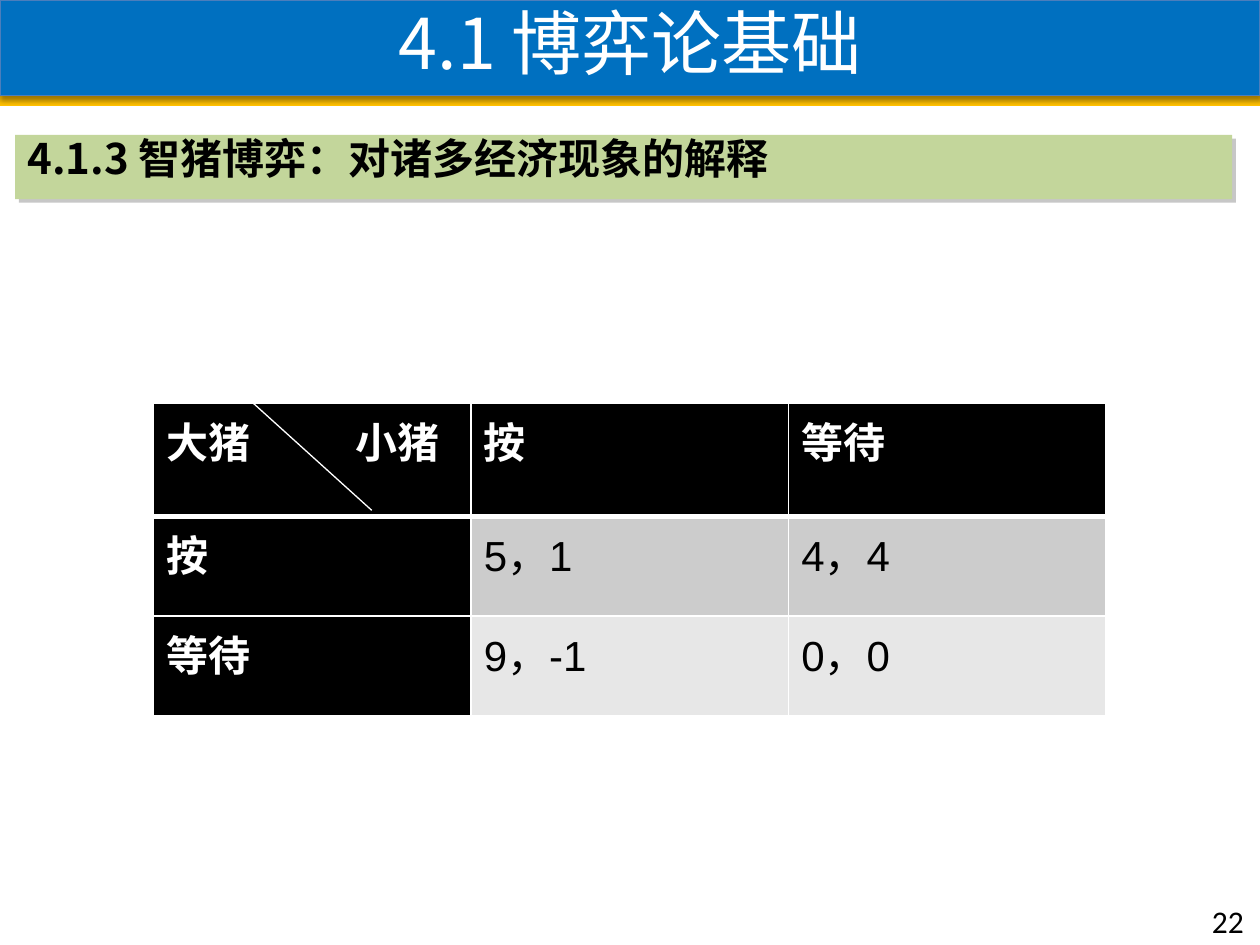
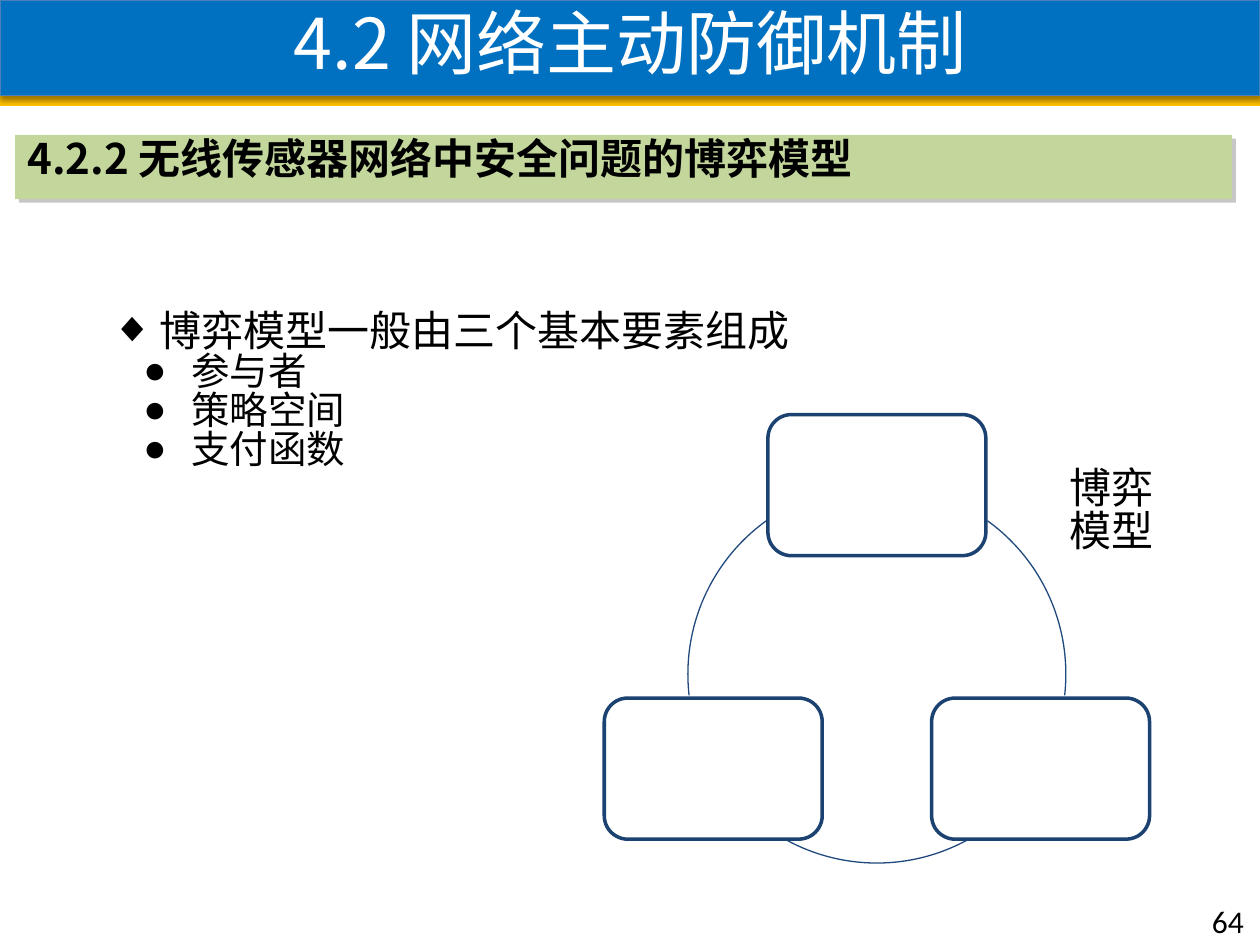
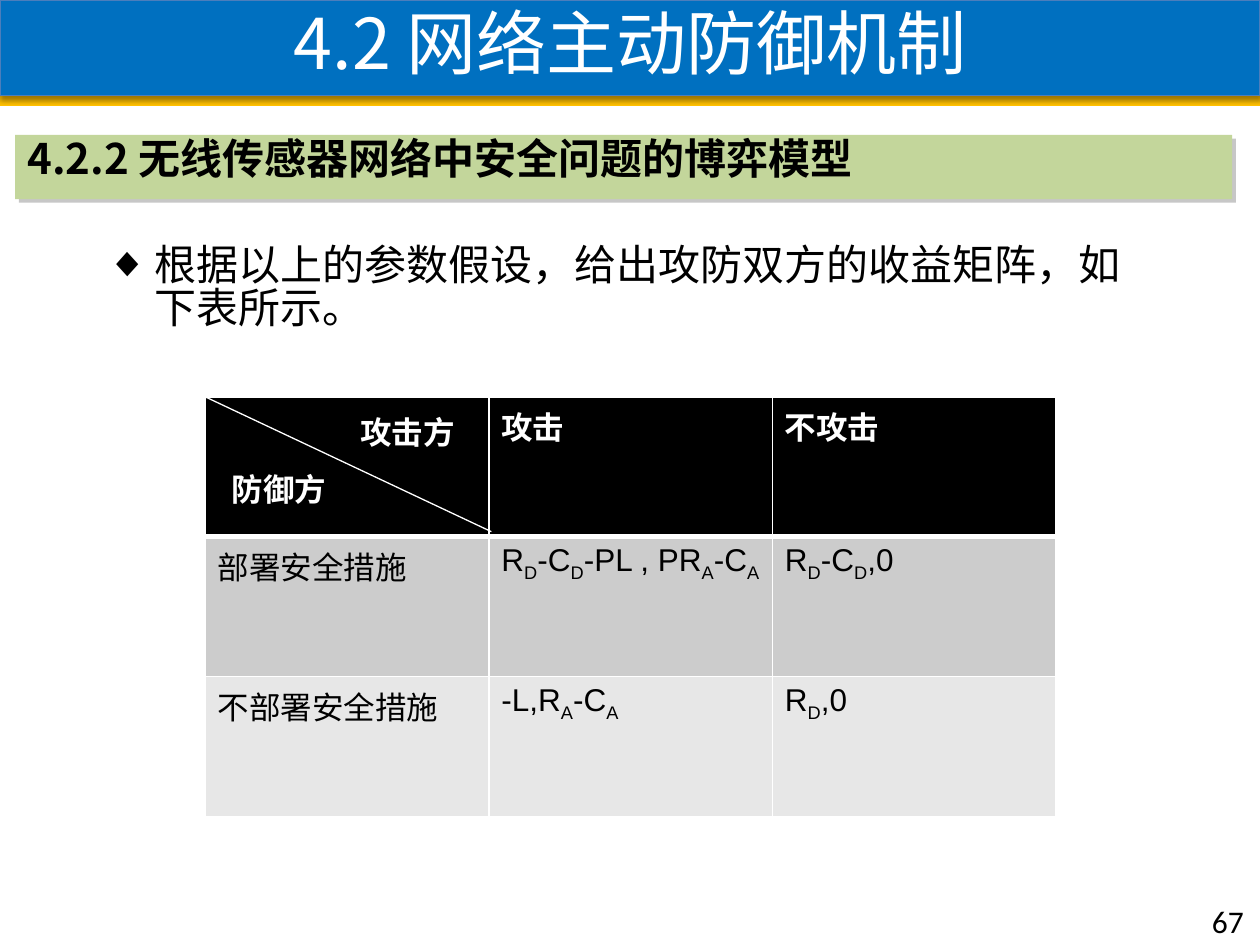
import math

import lxml.etree
import pptx
import pptx.dml.color
import pptx.enum.shapes
import pptx.enum.text
import pptx.oxml.ns
import pptx.util

SHAPES = pptx.enum.shapes.MSO_SHAPE
ALIGN = pptx.enum.text.PP_ALIGN
ANCHOR = pptx.enum.text.MSO_ANCHOR

COLORS = {
    "white": "FFFFFF", "black": "000000", "title": "0070C0", "title_line": "4B7EBC",
    "band": "FFC000", "section": "C3D69B", "section_shadow": "808080",
    "dark_row": "CCCCCC", "light_row": "E7E7E7", "node": "1C4271", "arc": "1F497D",
}
CHINESE = "Noto Sans CJK SC"
TIGHT = 0.84  # brings the tall Chinese line height down to about 1.2


def color(name):
    return pptx.dml.color.RGBColor.from_string(COLORS[name])


def add_element(parent, tag, **attributes):
    element = lxml.etree.SubElement(parent, pptx.oxml.ns.qn(tag))
    for name, value in attributes.items():
        element.set(name, str(value))
    return element


class Deck:
    """Places elements on the current slide in grid cells of a tenth of an inch."""

    COLUMNS, ROWS = 100, 75
    CELL = pptx.util.Inches(0.1)

    def __init__(self):
        self.presentation = pptx.Presentation()
        self.presentation.slide_width = self.COLUMNS * self.CELL
        self.presentation.slide_height = self.ROWS * self.CELL
        self.layout = self.presentation.slide_layouts[5]
        self.slide = None

    def grid(self, *lengths):
        return [round(length * self.CELL) for length in lengths]

    def new_slide(self, title, section, number):
        first = self.slide is None
        self.slide = self.presentation.slides.add_slide(self.layout)
        if first:
            band = self.shape(SHAPES.RECTANGLE, (0, 7.6, self.COLUMNS, 0.8), "band")
            self.layout.shapes._spTree.append(band._element)
        self.title(title)
        self.section(section)
        self.text((95.2, 71.1, 4.7, 4), [number], size=18, name="Calibri", spacing=1)

    def title(self, text):
        shape = self.slide.shapes.title
        shape.left, shape.top, shape.width, shape.height = self.grid(0, 0, self.COLUMNS, 7.6)
        self.paint(shape, "title", "title_line", 0.75)
        self.shadow(shape, "black", 38, 3.1, 1.6, 90)
        shape.text_frame.vertical_anchor = ANCHOR.MIDDLE
        self.fill_paragraph(shape.text_frame.paragraphs[0], text, "white", size=40,
                            align=ALIGN.CENTER)

    def section(self, text):
        shape = self.shape(SHAPES.RECTANGLE, (1.2, 10.7, 96.6, 5.1), "section")
        self.shadow(shape, "section_shadow", 43, 0, 3, 45)
        shape.text_frame.vertical_anchor = ANCHOR.TOP
        self.fill_paragraph(shape.text_frame.paragraphs[0], text, bold=True)

    def paint(self, shape, fill=None, line=None, width=1):
        if fill:
            shape.fill.solid()
            shape.fill.fore_color.rgb = color(fill)
        else:
            shape.fill.background()
        if line:
            shape.line.color.rgb = color(line)
            shape.line.width = pptx.util.Pt(width)
        else:
            shape.line.fill.background()
        shape.shadow.inherit = False

    def shape(self, kind, box, fill=None, line=None, width=1):
        shape = self.slide.shapes.add_shape(kind, *self.grid(*box))
        self.paint(shape, fill, line, width)
        return shape

    def shadow(self, shape, name, opacity, blur, distance, angle):
        effects = shape._element.spPr.find(pptx.oxml.ns.qn("a:effectLst"))
        outer = add_element(effects, "a:outerShdw", blurRad=pptx.util.Pt(blur),
                            dist=pptx.util.Pt(distance), dir=angle * 60000, rotWithShape=0)
        tint = add_element(outer, "a:srgbClr", val=COLORS[name])
        add_element(tint, "a:alpha", val=opacity * 1000)

    def fill_paragraph(self, paragraph, text, ink="black", size=24, name=CHINESE, bold=False,
                       align=ALIGN.LEFT, spacing=TIGHT):
        """Add styled runs; an underscore makes the next character a subscript."""
        layout = {"alignment": align, "line_spacing": spacing, "space_before": pptx.util.Pt(0)}
        for key, value in layout.items():
            setattr(paragraph, key, value)
        first, *marked = text.split("_")
        pieces = [(first, False)]
        for part in marked:
            pieces += [(part[0], True), (part[1:], False)]
        formats = {"size": pptx.util.Pt(size), "name": name, "bold": bold}
        for piece, lowered in pieces:
            if not piece:
                continue
            run = paragraph.add_run()
            run.text = piece
            for key, value in formats.items():
                setattr(run.font, key, value)
            run.font.color.rgb = color(ink)
            if lowered:
                run._r.get_or_add_rPr().set("baseline", "-25000")

    def text_frame(self, box):
        frame = self.slide.shapes.add_textbox(*self.grid(*box)).text_frame
        frame.word_wrap = True
        return frame

    def text(self, box, lines, **style):
        frame = self.text_frame(box)
        for index, line in enumerate(lines):
            paragraph = frame.add_paragraph() if index else frame.paragraphs[0]
            self.fill_paragraph(paragraph, line, **style)

    def bullets(self, box, items):
        """Add (level, text) items: diamonds on level 0, discs on level 1."""
        levels = [("◆", 3.8, {}), ("●", 6.3, {"size": 22, "name": "Arial"})]
        frame = self.text_frame(box)
        for index, (level, text) in enumerate(items):
            mark, margin, style = levels[level]
            paragraph = frame.add_paragraph() if index else frame.paragraphs[0]
            properties = paragraph._p.get_or_add_pPr()
            left, hanging = self.grid(margin, -3.8)
            properties.set("marL", str(left))
            properties.set("indent", str(hanging))
            add_element(properties, "a:buFont", typeface="Arial")
            add_element(properties, "a:buChar", char=mark)
            self.fill_paragraph(paragraph, text, **style)

    def line(self, start, end):
        connector = self.slide.shapes.add_connector(
            pptx.enum.shapes.MSO_CONNECTOR.STRAIGHT, *self.grid(*start, *end))
        connector.line.color.rgb = color("white")
        connector.line.width = pptx.util.Pt(0.75)
        add_element(connector._element.spPr, "a:effectLst")

    def borders(self, cell, row):
        widths = {"L": 1, "R": 1, "T": 3 if row == 1 else 1, "B": 3 if row == 0 else 1}
        properties = cell._tc.get_or_add_tcPr()
        for side, width in widths.items():
            edge = add_element(properties, f"a:ln{side}", w=pptx.util.Pt(width))
            add_element(add_element(edge, "a:solidFill"), "a:srgbClr", val=COLORS["white"])

    def payoff_table(self, box, rows, heights, size, dark_first_column=False, tab=None):
        shape = self.slide.shapes.add_table(len(rows), len(rows[0]), *self.grid(*box))
        table = shape.table
        for row, height in zip(table.rows, self.grid(*heights)):
            row.height = height
        for row, texts in enumerate(rows):
            for column, text in enumerate(texts):
                cell = table.cell(row, column)
                heading = row == 0 or (dark_first_column and column == 0)
                fill = "black" if heading else "dark_row" if row % 2 else "light_row"
                self.borders(cell, row)
                cell.fill.solid()
                cell.fill.fore_color.rgb = color(fill)
                paragraph = cell.text_frame.paragraphs[0]
                if "\t" in text:
                    tabs = add_element(paragraph._p.get_or_add_pPr(), "a:tabLst")
                    add_element(tabs, "a:tab", pos=self.grid(tab)[0], algn="l")
                self.fill_paragraph(paragraph, text, "white" if heading else "black", size=size,
                                    name="Arial", bold=heading, spacing=1)

    def cycle(self, center, radius, node_size):
        """Three boxes evenly spaced on a circle, with arcs showing between them."""
        (center_x, center_y), (width, height) = center, node_size
        circle = (center_x - radius, center_y - radius, 2 * radius, 2 * radius)
        for angle in (-90, 30, 150):
            x = center_x + radius * math.cos(math.radians(angle))
            y = center_y + radius * math.sin(math.radians(angle))
            self.shape(SHAPES.ROUNDED_RECTANGLE, (x - width / 2, y - height / 2, width, height),
                       "white", "node", 2)
        for start, end in ((305.8, 6.5), (61.4, 118.6), (173.5, 234.2)):
            arc = self.shape(SHAPES.ARC, circle, None, "arc", 0.75)
            for index, angle in enumerate((start, end)):
                arc.adjustments[index] = angle * 0.6


def main():
    deck = Deck()
    defence = "4.2 网络主动防御机制"
    model = "4.2.2 无线传感器网络中安全问题的博弈模型"

    deck.new_slide("4.1 博弈论基础", "4.1.3 智猪博弈：对诸多经济现象的解释", "22")
    deck.payoff_table((12.2, 32, 75.6, 24.8), [
        ["大猪\t小猪", "按", "等待"],
        ["按", "5，1", "4，4"],
        ["等待", "9，-1", "0，0"],
    ], (9, 7.9, 7.9), 24, dark_first_column=True, tab=15)
    deck.line((20.1, 32), (29.5, 40.5))

    deck.new_slide(defence, model, "64")
    deck.bullets((7.9, 24.3, 74.1, 20.2), [
        (0, "博弈模型一般由三个基本要素组成"),
        (1, "参与者"), (1, "策略空间"), (1, "支付函数"),
    ])
    deck.cycle((69.6, 53.5), 15, (17.3, 11.2))
    deck.text((83.9, 36.8, 11.8, 9.1), ["博弈模型"], name="Arial")

    deck.new_slide(defence, model, "67")
    deck.bullets((7.5, 19.1, 83.5, 9.1),
                 [(0, "根据以上的参数假设，给出攻防双方的收益矩阵，如下表所示。")])
    deck.payoff_table((16.3, 31.5, 67.5, 33.4), [
        ["", "攻击", "不攻击"],
        ["部署安全措施", "R_D-C_D-PL , PR_A-C_A", "R_D-C_D,0"],
        ["不部署安全措施", "-L,R_A-C_A", "R_D,0"],
    ], (11.1, 11.1, 11.1), 18)
    deck.line((16.3, 31.5), (39, 42.2))
    for label, left, top in (("防御方", 17.4, 37.3), ("攻击方", 27.6, 32.8)):
        deck.text((left, top, 10.2, 4), [label], ink="white", size=18, name="Lato", bold=True)

    deck.presentation.save("out.pptx")


if __name__ == "__main__":
    main()
